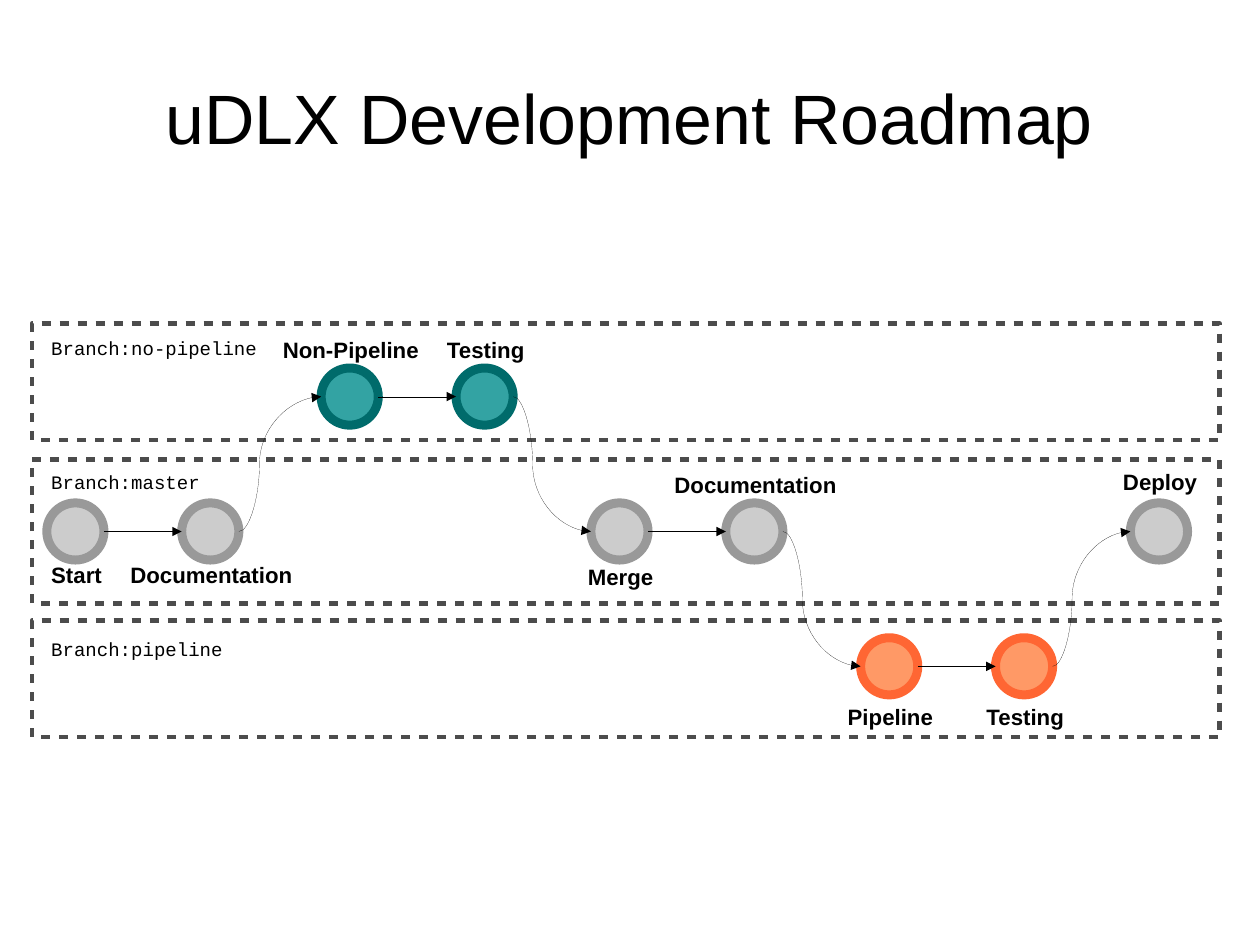
from collections import namedtuple
from dataclasses import dataclass

from lxml import etree
from pptx import Presentation
from pptx.dml.color import RGBColor
from pptx.enum.shapes import MSO_CONNECTOR, MSO_SHAPE
from pptx.enum.text import MSO_ANCHOR, MSO_AUTO_SIZE, PP_ALIGN
from pptx.oxml.ns import qn
from pptx.util import Cm, Inches, Pt

STRAIGHT, CURVE = MSO_CONNECTOR.STRAIGHT, MSO_CONNECTOR.CURVE
OVAL, RECT = MSO_SHAPE.OVAL, MSO_SHAPE.RECTANGLE
LEFT, CENTER = PP_ALIGN.LEFT, PP_ALIGN.CENTER
MIDDLE = MSO_ANCHOR.MIDDLE
FIT, FIXED = MSO_AUTO_SIZE.SHAPE_TO_FIT_TEXT, MSO_AUTO_SIZE.NONE

Box = namedtuple("Box", "x y w h")
Lane = namedtuple("Lane", "name y h text_w text_y fill ring")
Stage = namedtuple("Stage", "name row text_w text_y")


@dataclass(frozen=True)
class Theme:
    sans: str = "Arial"
    mono: str = "Courier New"
    title: float = 44
    label: float = 14
    branch: float = 12
    ring: float = 5.67
    frame: float = 2.83
    hair: float = 0.01
    ink: str = "000000"
    edge: str = "4C4C4C"


THEME = Theme()
SIZE = 0.5
PITCH = 1.18

# Lane y is from the roadmap's top; text_y is from the lane's top.
LANES = [
    Lane("Branch:no-pipeline", 0, 1.02, 2, 0.06, "33A3A3", "006B6B"),
    Lane("Branch:master", 1.19, 1.26, 1.5, 0.05, "CCCCCC", "999999"),
    Lane("Branch:pipeline", 2.6, 1.02, 1.7, 0.1, "FF9966", "FF6633"),
]
# Stage text_y is from the circle's top.
STAGES = [
    Stage("Start", 1, 0.67, 0.46),
    Stage("Documentation", 1, 1.64, 0.46),
    Stage("Non-Pipeline", 0, 1.41, -0.33),
    Stage("Testing", 0, 0.9, -0.33),
    Stage("Merge", 1, 0.8, 0.48),
    Stage("Documentation", 1, 1.64, -0.33),
    Stage("Pipeline", 2, 0.97, 0.52),
    Stage("Testing", 2, 0.9, 0.52),
    Stage("Deploy", 1, 0.87, -0.35),
]


def rgb(code):
    return RGBColor.from_string(code)


def emu(box):
    return [Inches(side) for side in box]


def add_run(frame, text, font, size, bold=False, align=LEFT):
    para = frame.paragraphs[0]
    para.alignment = align
    run = para.add_run()
    run.text = text
    run.font.name = font
    run.font.size = Pt(size)
    run.font.bold = bold
    run.font.color.rgb = rgb(THEME.ink)


def add_text(slide, box, *style, **more):
    frame = slide.shapes.add_textbox(*emu(box)).text_frame
    frame.word_wrap = False
    frame.auto_size = FIT
    add_run(frame, *style, **more)


def add_outline(slide, kind, box, color, width):
    shape = slide.shapes.add_shape(kind, *emu(box))
    shape.shadow.inherit = False
    shape.fill.background()
    shape.line.color.rgb = rgb(color)
    shape.line.width = Pt(width)
    return shape


def add_title(slide, box, text):
    title = slide.shapes.title
    title.left, title.top, title.width, title.height = emu(box)
    frame = title.text_frame
    frame.margin_left = frame.margin_right = 0
    frame.margin_top = frame.margin_bottom = 0
    frame.vertical_anchor = MIDDLE
    frame.auto_size = FIXED
    add_run(frame, text, THEME.sans, THEME.title, align=CENTER)


def add_lane(slide, box, lane):
    shape = add_outline(slide, RECT, box, THEME.edge, THEME.frame)
    dash = etree.Element(qn("a:custDash"))
    etree.SubElement(dash, qn("a:ds"), d="200000", sp="200000")
    line = shape._element.spPr.find(qn("a:ln"))
    line.find(qn("a:solidFill")).addnext(dash)
    place = Box(box.x + 0.07, box.y + lane.text_y, lane.text_w, 0.29)
    add_text(slide, place, lane.name, THEME.mono, THEME.branch)


def add_stage(slide, box, stage):
    lane = LANES[stage.row]
    shape = add_outline(slide, OVAL, box, lane.ring, THEME.ring)
    shape.fill.solid()
    shape.fill.fore_color.rgb = rgb(lane.fill)
    x = box.x + (box.w - stage.text_w) / 2 + 0.01
    place = Box(x, box.y + stage.text_y, stage.text_w, 0.32)
    add_text(slide, place, stage.name, THEME.sans, THEME.label,
             bold=True, align=CENTER)


def add_link(slide, start, end):
    """Draw an arrow from the right of one circle to the left of the next."""
    kind = STRAIGHT if start.y == end.y else CURVE
    ends = (start.x + start.w, start.y + start.h / 2,
            end.x, end.y + end.h / 2)
    link = slide.shapes.add_connector(kind, *emu(ends))
    link.line.color.rgb = rgb(THEME.ink)
    link.line.width = Pt(THEME.hair)
    props = link._element.spPr
    etree.SubElement(props.find(qn("a:ln")), qn("a:tailEnd"), type="triangle")
    etree.SubElement(props, qn("a:effectLst"))
    if kind == CURVE:
        bend = props.find(qn("a:prstGeom")).find(qn("a:avLst"))
        etree.SubElement(bend, qn("a:gd"), name="adj1", fmla="val 25000")


def add_roadmap(slide, box):
    for lane in LANES:
        add_lane(slide, Box(box.x, box.y + lane.y, box.w, lane.h), lane)
    spots = []
    for col, stage in enumerate(STAGES):
        x = box.x + 0.13 + PITCH * col + (0.04 if col > 1 else 0)
        spots.append(Box(x, box.y + 0.39 + PITCH * stage.row, SIZE, SIZE))
        add_stage(slide, spots[-1], stage)
    for start, end in zip(spots, spots[1:]):
        add_link(slide, start, end)


def main():
    deck = Presentation()
    deck.slide_width, deck.slide_height = Cm(28), Cm(21)
    slide = deck.slides.add_slide(deck.slide_layouts[5])
    add_title(slide, Box(0.55, 0.33, 9.92, 1.38), "uDLX Development Roadmap")
    add_roadmap(slide, Box(0.28, 2.83, 10.39, 3.62))
    deck.save("out.pptx")


if __name__ == "__main__":
    main()
